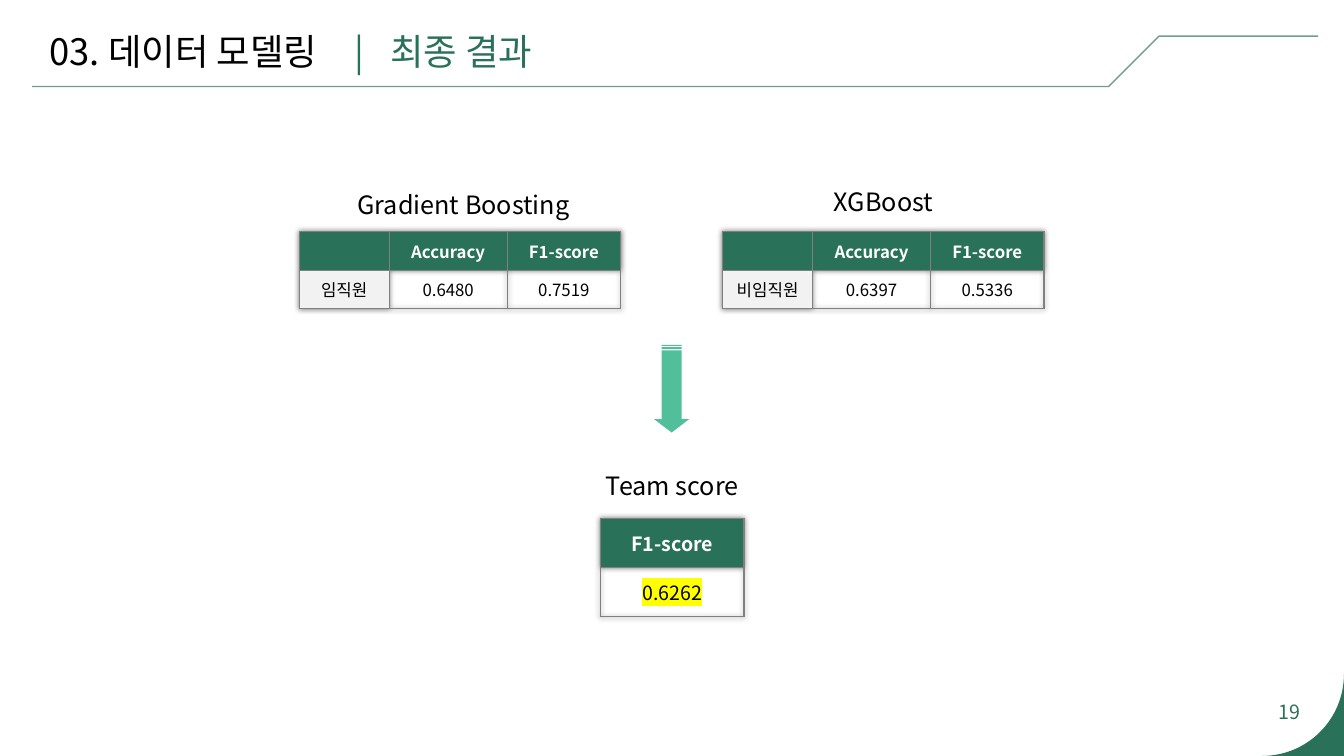
"""Build the final results slide with its score tables."""
from dataclasses import dataclass
from math import cos, pi, sin

from lxml import etree
from pptx import Presentation
from pptx import util as u
from pptx.dml.color import RGBColor
from pptx.enum import shapes, text
from pptx.oxml import ns

FONT = "Noto Sans CJK KR"
GREEN, MINT, SAGE = "2A715A", "51BF9A", "729E8A"
GRAY, PALE, BLACK, WHITE = "808080", "F2F2F2", "000000", "FFFFFF"
WIDE, HIGH = 33.87, 19.05


@dataclass
class Label:
    words: str
    left: float
    top: float
    width: float
    size: int = 18
    color: str = BLACK
    align: text.PP_ALIGN = text.PP_ALIGN.CENTER


@dataclass
class Grid:
    left: float
    top: float
    cols: list[float]
    row: float
    size: int
    cells: list[list[str]]
    mark: str = ""


LABELS = [
    Label("XGBoost", 18.57, 4.57, 7.39),
    Label("Gradient Boosting", 8.43, 4.65, 6.5),
    Label("Team score", 14.45, 11.73, 4.98),
    Label("19", 31.98, 17.5, 1.14, 14, GREEN, text.PP_ALIGN.LEFT),
]
HEAD = ["", "Accuracy", "F1-score"]
COLS = [2.27, 2.97, 2.86]
GRIDS = [
    Grid(7.54, 5.84, COLS, 0.97, 12, [HEAD, ["임직원", "0.6480", "0.7519"]]),
    Grid(18.21, 5.84, COLS, 0.97, 12, [HEAD, ["비임직원", "0.6397", "0.5336"]]),
    Grid(15.14, 13.06, [3.61], 1.24, 14, [["F1-score"], ["0.6262"]], "FFFF00"),
]


def paint(target, color: str) -> None:
    """Give a fill a solid colour."""
    target.solid()
    target.fore_color.rgb = RGBColor.from_string(color)


def add(parent, tag: str, **attrs: str):
    """Append a drawing element to a parent."""
    return etree.SubElement(parent, ns.qn("a:" + tag), attrs)


def style(run, size: int, color: str, bold: bool = False, mark: str = "") -> None:
    """Format one run of text."""
    run.font.size, run.font.bold, run.font.name = u.Pt(size), bold, FONT
    paint(run.font.fill, color)
    props = run.font._element
    add(props, "ea", typeface=FONT)
    if mark:
        light = etree.Element(ns.qn("a:highlight"))
        add(light, "srgbClr", val=mark)
        props.find(ns.qn("a:latin")).addprevious(light)


def draw_title(slide) -> None:
    """Place the title and align its parts on tab stops."""
    title = slide.shapes.title
    title.left, title.top = u.Cm(0.99), u.Cm(0.61)
    title.width, title.height = u.Cm(13.2), u.Cm(1.37)
    frame = title.text_frame
    frame.word_wrap, frame.auto_size = True, text.MSO_AUTO_SIZE.NONE
    frame.vertical_anchor, frame.margin_right = text.MSO_ANCHOR.TOP, 0
    para = frame.paragraphs[0]
    para.alignment = text.PP_ALIGN.LEFT
    stops = add(para._p.get_or_add_pPr(), "tabLst")
    for stop in (7.68, 8.59):
        add(stops, "tab", pos=str(u.Cm(stop)), algn="l")
    for words, color in (("03. 데이터 모델링\t", BLACK), ("|\t최종 결과", GREEN)):
        run = para.add_run()
        run.text = words
        style(run, 26, color)


def draw_label(slide, label: Label) -> None:
    """Draw one line of text."""
    box = slide.shapes.add_textbox(
        u.Cm(label.left), u.Cm(label.top), u.Cm(label.width), u.Cm(1.27))
    box.text_frame.word_wrap = True
    para = box.text_frame.paragraphs[0]
    para.text, para.alignment = label.words, label.align
    style(para.runs[0], label.size, label.color)


def draw_grid(slide, grid: Grid) -> None:
    """Draw a score table with a soft shadow."""
    rows = len(grid.cells)
    table = slide.shapes.add_table(
        rows, len(grid.cols), u.Cm(grid.left), u.Cm(grid.top),
        u.Cm(sum(grid.cols)), u.Cm(grid.row * rows)).table
    table.horz_banding = False
    props = table._tbl.tblPr
    glow = etree.Element(ns.qn("a:effectLst"))
    props.insert(0, glow)
    shade = add(glow, "outerShdw", blurRad="50800", dist="0", algn="ctr")
    add(add(shade, "prstClr", val="black"), "alpha", val="50000")
    for col, width in zip(table.columns, grid.cols):
        col.width = u.Cm(width)
    for r, line in enumerate(grid.cells):
        table.rows[r].height = u.Cm(grid.row)
        for c, words in enumerate(line):
            draw_cell(table.cell(r, c), words, grid, r == 0, c == 0)


def draw_cell(cell, words: str, grid: Grid, head: bool, first: bool) -> None:
    """Fill, frame and letter one table cell."""
    cell.margin_top = cell.margin_bottom = 0
    cell.vertical_anchor = text.MSO_ANCHOR.MIDDLE
    props = cell._tc.get_or_add_tcPr()
    for side in ("lnL", "lnR", "lnT", "lnB"):
        edge = add(props, side, w=str(u.Pt(1)))
        add(add(edge, "solidFill"), "srgbClr", val=GRAY)
    if head:
        paint(cell.fill, GREEN)
    elif first and len(grid.cols) > 1:
        paint(cell.fill, PALE)
    else:
        cell.fill.background()
    para = cell.text_frame.paragraphs[0]
    para.text, para.alignment = words, text.PP_ALIGN.CENTER
    for run in para.runs:
        style(run, grid.size, WHITE if head else BLACK, head, "" if head else grid.mark)


def draw_path(slide, spots: list[tuple[float, float]], closed: bool):
    """Draw an outline through points given in centimetres."""
    path = [(u.Cm(x), u.Cm(y)) for x, y in spots]
    pen = slide.shapes.build_freeform(*path[0])
    pen.add_line_segments(path[1:], close=closed)
    form = pen.convert_to_shape()
    form.shadow.inherit = False
    return form


def draw_frame(slide) -> None:
    """Draw the title rule and the curved corner."""
    rule = draw_path(
        slide, [(0.81, 2.18), (27.94, 2.18), (29.21, 0.91), (33.22, 0.91)], False)
    rule.fill.background()
    paint(rule.line.fill, SAGE)
    rule.line.width = u.Pt(1)
    size, steps = 2.06, 32
    turns = [pi / 2 * i / steps for i in range(steps + 1)]
    curve = [(WIDE - size + size * cos(a), HIGH - size + size * sin(a)) for a in turns]
    nook = draw_path(slide, [(WIDE, HIGH)] + curve, True)
    paint(nook.fill, GREEN)
    nook.line.fill.background()


def draw_arrow(slide) -> None:
    """Draw the arrow down to the team score."""
    arrow = slide.shapes.add_shape(
        shapes.MSO_SHAPE.STRIPED_RIGHT_ARROW,
        u.Cm(15.82), u.Cm(9.35), u.Cm(2.21), u.Cm(0.89))
    arrow.rotation = 90
    arrow.adjustments[0], arrow.adjustments[1] = 0.56, 0.38
    arrow.shadow.inherit = False
    paint(arrow.fill, MINT)
    arrow.line.fill.background()


def main() -> None:
    """Build and save the slide."""
    deck = Presentation()
    deck.slide_width, deck.slide_height = u.Cm(WIDE), u.Cm(HIGH)
    slide = deck.slides.add_slide(deck.slide_layouts[5])
    draw_title(slide)
    draw_frame(slide)
    for label in LABELS:
        draw_label(slide, label)
    for grid in GRIDS:
        draw_grid(slide, grid)
    draw_arrow(slide)
    deck.save("out.pptx")


if __name__ == "__main__":
    main()
